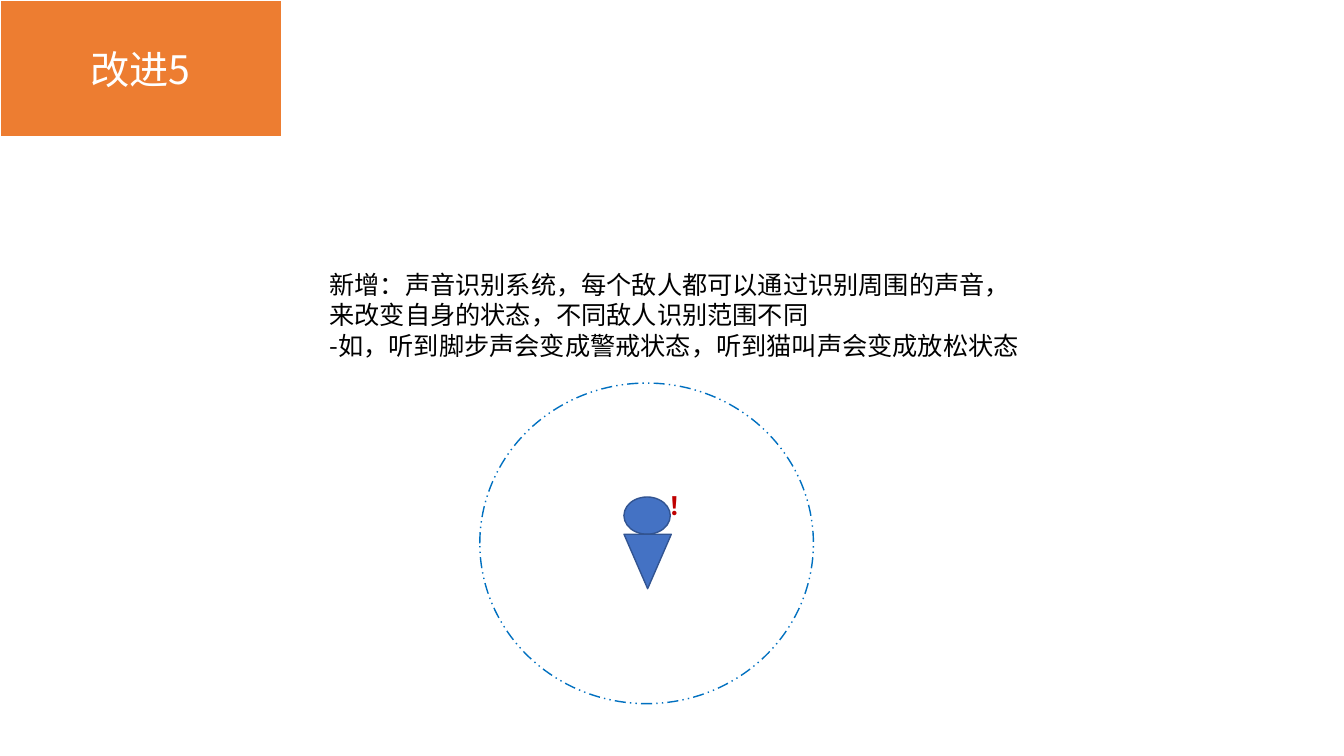
from dataclasses import dataclass

from lxml.etree import SubElement
from pptx import Presentation
from pptx.dml.color import RGBColor
from pptx.enum.dml import MSO_LINE
from pptx.enum.shapes import MSO_SHAPE
from pptx.enum.text import MSO_ANCHOR, MSO_AUTO_SIZE, PP_ALIGN
from pptx.oxml.ns import qn
from pptx.util import Pt


@dataclass(frozen=True)
class Theme:
    font: str = "Noto Sans CJK SC"
    title_size: float = 28
    body_size: float = 18
    body_spacing: float = 21.7
    line_width: float = 1
    white: str = "FFFFFF"
    black: str = "000000"
    cloud: str = "ED7D31"
    enemy: str = "4472C4"
    enemy_line: str = "325491"
    hearing: str = "0070C0"
    alert: str = "C00000"


theme = Theme()


def add_text(paragraph, text, size, color, bold=False):
    run = paragraph.add_run()
    run.text = text
    run.font.size = Pt(size)
    run.font.bold = bold
    run.font.name = theme.font
    run.font.color.rgb = RGBColor.from_string(color)
    SubElement(run.font._element, qn("a:ea"), typeface=theme.font)


def paint(shape, fill, line):
    shape.shadow.inherit = False
    if fill:
        shape.fill.solid()
        shape.fill.fore_color.rgb = RGBColor.from_string(fill)
    else:
        shape.fill.background()
    shape.line.color.rgb = RGBColor.from_string(line)
    shape.line.width = Pt(theme.line_width)


presentation = Presentation()
presentation.slide_width = Pt(960)
presentation.slide_height = Pt(540)
slide = presentation.slides.add_slide(presentation.slide_layouts[1])

title = slide.shapes.title
title.left, title.top, title.width, title.height = Pt(0), Pt(0), Pt(200.9), Pt(97.9)
geometry = SubElement(title._element.spPr, qn("a:prstGeom"), prst="cloud")
SubElement(geometry, qn("a:avLst"))
paint(title, theme.cloud, theme.white)
title.text_frame.auto_size = MSO_AUTO_SIZE.NONE
title.text_frame.vertical_anchor = MSO_ANCHOR.MIDDLE
title_paragraph = title.text_frame.paragraphs[0]
title_paragraph.alignment = PP_ALIGN.CENTER
add_text(title_paragraph, "改进5", theme.title_size, theme.white)

body = slide.placeholders[1]
body.left, body.top, body.width, body.height = Pt(228.2), Pt(188.6), Pt(509.8), Pt(72.7)
body.text_frame.auto_size = MSO_AUTO_SIZE.NONE
body.text_frame.vertical_anchor = MSO_ANCHOR.TOP
sentences = [
    "新增：声音识别系统，每个敌人都可以通过识别周围的声音，来改变自身的状态，不同敌人识别范围不同",
    "-如，听到脚步声会变成警戒状态，听到猫叫声会变成放松状态",
]
for index, sentence in enumerate(sentences):
    paragraph = body.text_frame.add_paragraph() if index else body.text_frame.paragraphs[0]
    paragraph.alignment = PP_ALIGN.LEFT
    paragraph.space_before = Pt(0)
    paragraph.line_spacing = Pt(theme.body_spacing)
    properties = paragraph._p.get_or_add_pPr()
    properties.set("marL", "0")
    properties.set("indent", "0")
    SubElement(properties, qn("a:buNone"))
    add_text(paragraph, sentence, theme.body_size, theme.black)

enemy_head = slide.shapes.add_shape(MSO_SHAPE.OVAL, Pt(445.7), Pt(355), Pt(33.1), Pt(26.6))
paint(enemy_head, theme.enemy, theme.enemy_line)

enemy_body = slide.shapes.add_shape(
    MSO_SHAPE.ISOSCELES_TRIANGLE, Pt(445.7), Pt(381.6), Pt(33.8), Pt(38.9)
)
enemy_body.rotation = 180
paint(enemy_body, theme.enemy, theme.enemy_line)

hearing_range = slide.shapes.add_shape(MSO_SHAPE.OVAL, Pt(342.7), Pt(273.6), Pt(238.3), Pt(229))
paint(hearing_range, None, theme.hearing)
hearing_range.line.dash_style = MSO_LINE.DASH_DOT_DOT

alert = slide.shapes.add_textbox(Pt(470.2), Pt(346.3), Pt(25.9), Pt(28.8))
alert.text_frame.word_wrap = True
alert_paragraph = alert.text_frame.paragraphs[0]
alert_paragraph.line_spacing = Pt(theme.body_spacing)
add_text(alert_paragraph, "！", theme.body_size, theme.alert, bold=True)

presentation.save("out.pptx")
